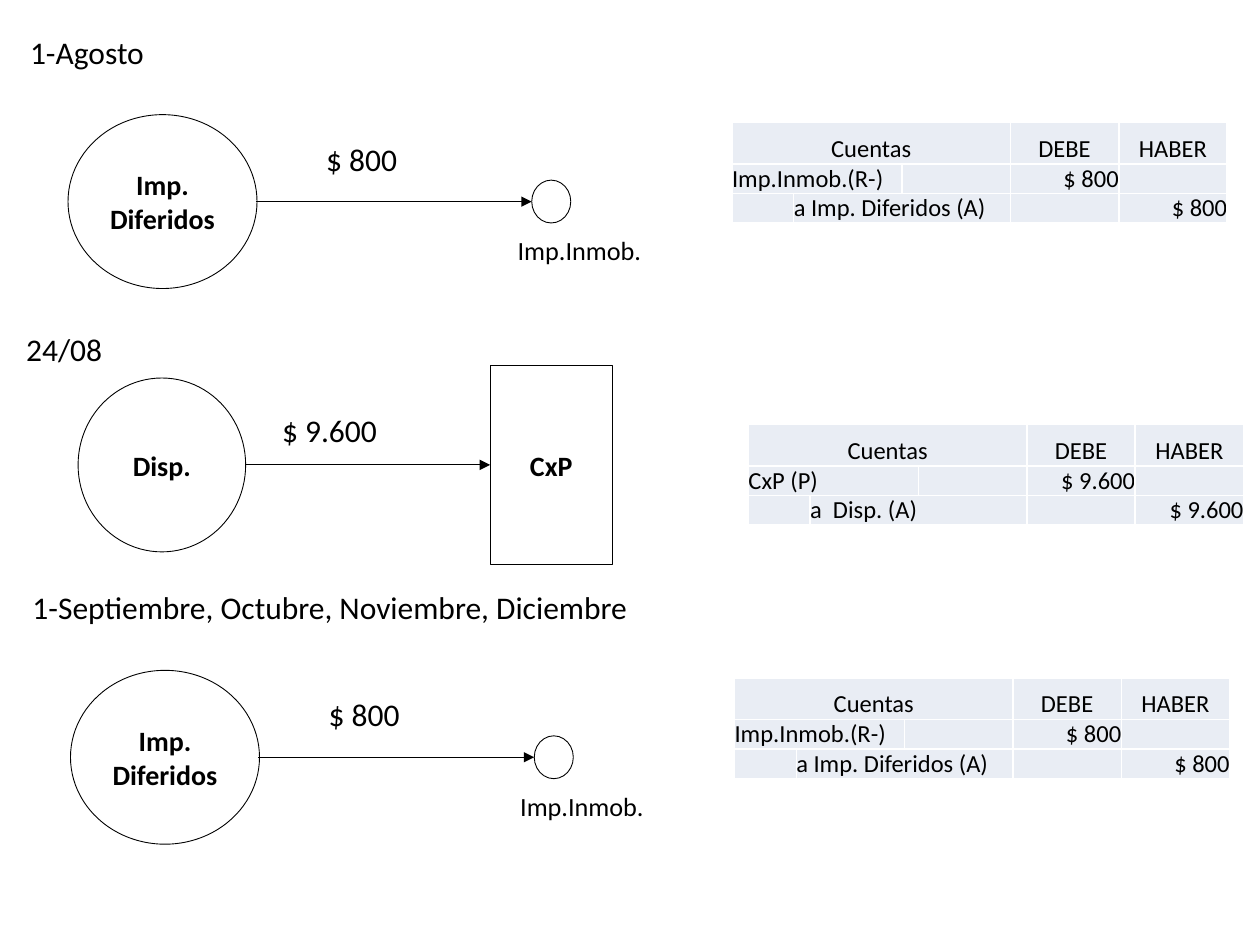
from lxml import etree
from pptx import Presentation
from pptx import util as u
from pptx.dml.color import RGBColor
from pptx.enum import shapes, text
from pptx.oxml.ns import qn

INK, PALE, WHITE = "000000", "E9EDF4", "FFFFFF"
LEFT, MID, RIGHT = text.PP_ALIGN.LEFT, text.PP_ALIGN.CENTER, text.PP_ALIGN.RIGHT

# Content: titles as (text, box, wrap)
TITLES = [
    ("1-Agosto", (0.14, 0.21, 1.17, 0.4), False),
    ("24/08", (0.11, 2.57, 0.87, 0.4), False),
    ("1-Septiembre, Octubre, Noviembre, Diciembre", (0.16, 4.62, 5.16, 0.4), True),
]
# Tax entries: the same drawing, moved by (x, y)
TAX = [(0, 0), (0.02, 4.41)]
TAX_ROWS = ("Imp.Inmob.(R-)", "a Imp. Diferidos (A)", "$ 800")
PAY_ROWS = ("CxP (P)", "a  Disp. (A)", "$ 9.600")
COLS = [0.49] + [0.86] * 4
ROWS = [0.33, 0.23, 0.23]

prs = Presentation()
prs.slide_width, prs.slide_height = u.Inches(10), u.Inches(7.5)
slide = prs.slides.add_slide(prs.slide_layouts[6])


def color(code):
    return RGBColor.from_string(code)


def inches(box):
    return [u.Inches(v) for v in box]


def style(para, size, bold=False, align=LEFT):
    para.alignment = align
    for run in para.runs:
        font = run.font
        font.name, font.size, font.bold = "Calibri", u.Pt(size), bold
        font.color.rgb = color(INK)


def label(words, box, size=18, wrap=False):
    frame = slide.shapes.add_textbox(*inches(box)).text_frame
    frame.word_wrap = wrap
    frame.text = words
    style(frame.paragraphs[0], size)


def node(kind, box, words=""):
    shape = slide.shapes.add_shape(kind, *inches(box))
    shape.shadow.inherit = False
    shape.fill.background()
    shape.line.color.rgb = color(INK)
    shape.line.width = u.Pt(0.5)
    frame = shape.text_frame
    frame.vertical_anchor = text.MSO_ANCHOR.MIDDLE
    frame.text = words
    style(frame.paragraphs[0], 16, True, MID)
    return shape


def arrow(x1, x2, y, goal=None):
    line = slide.shapes.add_connector(
        shapes.MSO_CONNECTOR.STRAIGHT, *inches((x1, y, x2, y)))
    if goal is not None:
        line.end_connect(goal, 1)
    line.line.color.rgb = color(INK)
    line.line.width = u.Pt(0.5)
    props = line._element.spPr
    etree.SubElement(props.find(qn("a:ln")), qn("a:tailEnd"), type="triangle")
    etree.SubElement(props, qn("a:effectLst"))


def border(cell):
    props = cell._tc.get_or_add_tcPr()
    for spot, side in enumerate(("lnL", "lnR", "lnT", "lnB")):
        edge = etree.Element(qn("a:" + side), w=str(u.Pt(1)))
        fill = etree.SubElement(edge, qn("a:solidFill"))
        etree.SubElement(fill, qn("a:srgbClr"), val=WHITE)
        props.insert(spot, edge)


def ledger(x, y, debit, credit, sum_):
    box = inches((x, y, sum(COLS), sum(ROWS)))
    table = slide.shapes.add_table(len(ROWS), len(COLS), *box).table
    table.first_row = table.horz_banding = False
    for col, width in zip(table.columns, COLS):
        col.width = u.Inches(width)
    for row, height in zip(table.rows, ROWS):
        row.height = u.Inches(height)
    # Merged spans: row, first column, last column
    for row, first, last in [(0, 0, 2), (1, 0, 1), (2, 1, 2)]:
        table.cell(row, first).merge(table.cell(row, last))
    grid = {
        (0, 0): ("Cuentas", MID), (0, 3): ("DEBE", MID), (0, 4): ("HABER", MID),
        (1, 0): (debit, LEFT), (1, 3): (sum_, RIGHT),
        (2, 1): (credit, LEFT), (2, 4): (sum_, RIGHT),
    }
    for row in range(len(ROWS)):
        for col in range(len(COLS)):
            cell = table.cell(row, col)
            cell.margin_left = cell.margin_right = 0
            cell.margin_top = cell.margin_bottom = 0
            cell.vertical_anchor = text.MSO_ANCHOR.BOTTOM
            cell.fill.solid()
            cell.fill.fore_color.rgb = color(PALE)
            border(cell)
            para = cell.text_frame.paragraphs[0]
            if (row, col) in grid:
                para.text, align = grid[row, col]
                style(para, 14, align=align)
            else:  # keeps empty cells as low as the filled ones
                etree.SubElement(para._p, qn("a:endParaRPr"), sz="1400")


OVAL, RECT = shapes.MSO_SHAPE.OVAL, shapes.MSO_SHAPE.RECTANGLE

for title, box, wrap in TITLES:
    label(title, box, wrap=wrap)

# Tax entries
for dx, dy in TAX:
    ledger(5.81 + dx, 0.97 + dy, *TAX_ROWS)
    node(OVAL, (4.22 + dx, 1.43 + dy, 0.31, 0.34))
    arrow(2.03 + dx, 4.22 + dx, 1.6 + dy)
    label("$ 800", (2.49 + dx, 1.06 + dy, 0.77, 0.4))
    label("Imp.Inmob.", (4.01 + dx, 1.81 + dy, 1.51, 0.35), 15, True)
    node(OVAL, (0.54 + dx, 0.91 + dy, 1.5, 1.38), "Imp. Diferidos")

# Payment entry
debt = node(RECT, (3.89, 2.9, 0.97, 1.58), "CxP")
arrow(1.95, 3.89, 3.69, debt)
label("$ 9.600", (2.14, 3.21, 0.96, 0.4))
ledger(5.94, 3.37, *PAY_ROWS)
node(OVAL, (0.62, 3, 1.33, 1.38), "Disp.")

prs.save("out.pptx")
